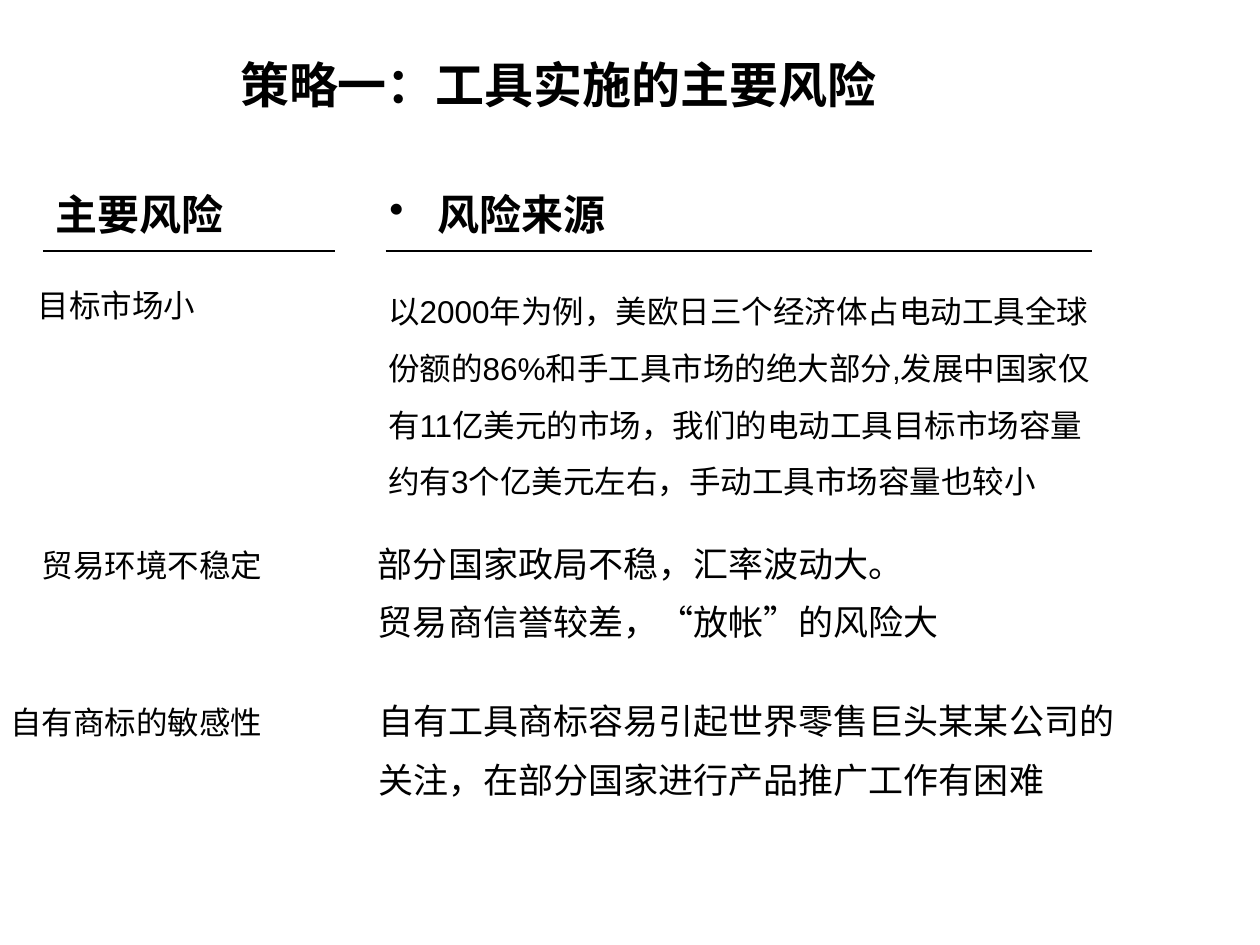
from lxml import etree
from pptx import Presentation
from pptx import util as u
from pptx.dml.color import RGBColor
from pptx.enum import shapes, text
from pptx.oxml.ns import qn

PX = u.Inches(1) // 100  # 100 px to the inch
BLACK = RGBColor(0, 0, 0)
SANS, SERIF, CJK = "Arial", "Times New Roman", "Noto Sans CJK SC"


class RiskPage:
    def __init__(self, deck):
        self.page = deck.slides.add_slide(deck.slide_layouts[6])

    def words(self, area, lines, size=18, font=SANS, bold=False, spacing=None,
              bullet_indent=0, align=text.PP_ALIGN.LEFT):
        """Add a text box without margins, one paragraph for each line."""
        box = self.page.shapes.add_textbox(*(n * PX for n in area))
        frame = box.text_frame
        frame.word_wrap = True
        frame.margin_left = frame.margin_right = 0
        frame.margin_top = frame.margin_bottom = 0
        frame.text = "\n".join(lines)
        for para in frame.paragraphs:
            para.alignment = align
            if spacing:
                para.line_spacing = spacing
            if bullet_indent:
                self.bullet(para, bullet_indent * PX)
            para.font.size = u.Pt(size)
            para.font.name = font
            para.font.bold = bold
            para.font.color.rgb = BLACK
        return frame

    def bullet(self, para, indent):
        props = para._p.get_or_add_pPr()
        props.set("marL", str(indent))
        props.set("indent", str(-indent))
        etree.SubElement(props, qn("a:buChar")).set("char", "•")

    def rule(self, left, right, top):
        line = self.page.shapes.add_connector(
            shapes.MSO_CONNECTOR.STRAIGHT, left * PX, top * PX, right * PX, top * PX)
        line.line.color.rgb = BLACK
        line.line.width = u.Pt(1)
        etree.SubElement(line._element.spPr, qn("a:effectLst"))


def main():
    deck = Presentation()
    deck.slide_width, deck.slide_height = 1000 * PX, 750 * PX
    page = RiskPage(deck)

    title = page.words((33, 42, 820, 50), ["策略一：工具实施的主要风险"], 28, SERIF,
                       bold=True, align=text.PP_ALIGN.CENTER)
    title.vertical_anchor = text.MSO_ANCHOR.MIDDLE

    page.words((44, 150, 203, 40), ["主要风险"], 24, bold=True)
    page.words((309, 150, 203, 40), ["风险来源"], 24, SERIF, bold=True, bullet_indent=38)
    page.rule(34, 266, 199)
    page.rule(306, 867, 199)

    page.words((30, 227, 254, 30), ["目标市场小"], font=CJK)
    page.words((33, 433, 217, 30), ["贸易环境不稳定"])
    page.words((8, 558, 217, 30), ["自有商标的敏感性"])

    page.words((308, 217, 575, 180), [
        "以2000年为例，美欧日三个经济体占电动工具全球份额的86%和手工具市场的绝大部分,"
        "发展中国家仅有11亿美元的市场，我们的电动工具目标市场容量约有3个亿美元左右，"
        "手动工具市场容量也较小"], spacing=1.5)
    page.words((300, 417, 583, 140), [
        "部分国家政局不稳，汇率波动大。",
        "贸易商信誉较差，“放帐”的风险大"], 20, spacing=1.4)
    page.words((300, 542, 608, 93), [
        "自有工具商标容易引起世界零售巨头某某公司的关注，"
        "在部分国家进行产品推广工作有困难"], 20, spacing=1.4)

    deck.save("out.pptx")


if __name__ == "__main__":
    main()
